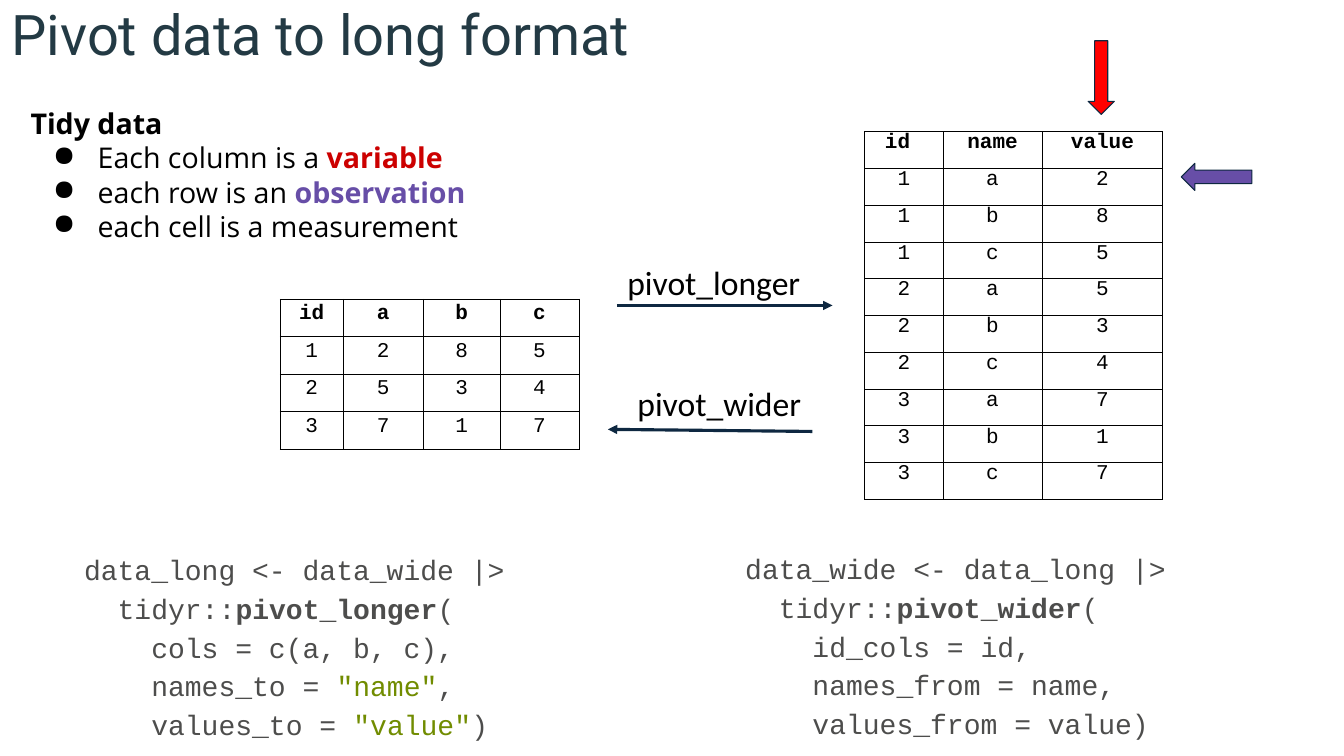
from lxml import etree
from pptx import Presentation
from pptx.dml.color import RGBColor
from pptx.enum.shapes import MSO_CONNECTOR, MSO_SHAPE
from pptx.enum.text import MSO_ANCHOR, PP_ALIGN
from pptx.oxml import parse_xml
from pptx.oxml.ns import nsdecls, qn
from pptx.util import Pt

STRAIGHT = MSO_CONNECTOR.STRAIGHT
ARROW = MSO_SHAPE.RIGHT_ARROW
TOP, MIDDLE = MSO_ANCHOR.TOP, MSO_ANCHOR.MIDDLE
CENTER, LEFT = PP_ALIGN.CENTER, PP_ALIGN.LEFT

BLACK = RGBColor(0x00, 0x00, 0x00)
NAVY = RGBColor(0x0E, 0x28, 0x41)
SLATE = RGBColor(0x23, 0x3A, 0x44)
GRAY = RGBColor(0x4D, 0x4D, 0x4C)
GREEN = RGBColor(0x71, 0x8C, 0x00)
CRIMSON = RGBColor(0xCC, 0x00, 0x00)
RED = RGBColor(0xFF, 0x00, 0x00)
PURPLE = RGBColor(0x67, 0x4E, 0xA7)
INSET = Pt(9.6)


def write(frame, paras, size, font, color=BLACK, align=LEFT, spacing=None, bullets=False):
    frame.word_wrap = True
    for i, runs in enumerate(paras):
        para = frame.paragraphs[0] if i == 0 else frame.add_paragraph()
        if bullets and i > 0:
            props = para._p.get_or_add_pPr()
            props.set("marL", str(Pt(48)))
            props.set("indent", str(Pt(-32)))
            etree.SubElement(props, qn("a:buChar")).set("char", "●")
        para.alignment = align
        if spacing:
            para.line_spacing = spacing
        for text, bold, tint in runs:
            for j, line in enumerate(text.split("\n")):
                if j > 0:
                    para.add_line_break()
                run = para.add_run()
                run.text = line
                run.font.size = Pt(size)
                run.font.name = font
                run.font.bold = bold
                run.font.color.rgb = tint or color


prs = Presentation()
prs.slide_width, prs.slide_height = Pt(960), Pt(540)
slide = prs.slides.add_slide(prs.slide_layouts[6])
shapes = slide.shapes

long_code = [[
    ("data_long <- data_wide |>\n  tidyr::", False, None),
    ("pivot_longer", True, None),
    ("(\n    cols = c(a, b, c),\n    names_to = ", False, None),
    ('"name"', False, GREEN),
    (",\n    values_to = ", False, None),
    ('"value"', False, GREEN),
    (")", False, None),
]]
wide_code = [[
    ("data_wide <- data_long |>\n  tidyr::", False, None),
    ("pivot_wider", True, None),
    ("(\n    id_cols = id,\n    names_from = name,\n    values_from = value)", False, None),
]]
tidy = [
    [("Tidy data", True, None)],
    [("Each column is a ", False, None), ("variable", True, CRIMSON)],
    [("each row is an ", False, None), ("observation", True, PURPLE)],
    [("each cell is a measurement", False, None)],
]
title = [[("Pivot data to long format", False, None)]]
longer = [[("pivot_longer", False, None)]]
wider = [[("pivot_wider", False, None)]]

code = dict(size=20, font="Courier New", color=GRAY, spacing=1.15)
label = dict(size=24, font="Calibri")
boxes = [
    (50.4, 381.6, 345, 158.4, long_code, code),
    (522.7, 380.9, 321, 158.4, wide_code, code),
    (12.2, 66.2, 345, 130.3, tidy, dict(size=20.4, font="Open Sans", bullets=True)),
    (438.5, 177.8, 154, 48.2, longer, label),
    (445.7, 264.2, 154, 48.2, wider, label),
    (-1.4, -10.1, 825, 67.7, title, dict(size=40, font="Roboto", color=SLATE)),
]
for x, y, w, h, paras, form in boxes:
    frame = shapes.add_textbox(Pt(x), Pt(y), Pt(w), Pt(h)).text_frame
    frame.margin_left = frame.margin_right = INSET
    frame.margin_top = frame.margin_bottom = INSET
    write(frame, paras, **form)

wide = [["id", "a", "b", "c"], ["1", "2", "8", "5"], ["2", "5", "3", "4"], ["3", "7", "1", "7"]]
long = [["id ", "name", "value"]]
for row in wide[1:]:
    for name, value in zip(wide[0][1:], row[1:]):
        long.append([row[0], name, value])

tables = [
    (wide, 200.2, 213.8, [44.9, 57.3, 54.9, 56.3], 26.8, MIDDLE),
    (long, 617.5, 94, [56.2, 70.6, 86.4], 26.3, TOP),
]
for data, x, y, widths, high, anchor in tables:
    grid = shapes.add_table(len(data), len(widths), Pt(x), Pt(y),
                            Pt(sum(widths)), Pt(high * len(data))).table
    grid.first_row = grid.horz_banding = False
    for col, width in zip(grid.columns, widths):
        col.width = Pt(width)
    for r, row in enumerate(data):
        grid.rows[r].height = Pt(high)
        for c, text in enumerate(row):
            cell = grid.cell(r, c)
            cell.margin_left = cell.margin_right = INSET
            cell.margin_top = cell.margin_bottom = INSET
            cell.vertical_anchor = anchor
            for side in ("lnL", "lnR", "lnT", "lnB"):
                cell._tc.get_or_add_tcPr().append(parse_xml(
                    f'<a:{side} {nsdecls("a")} w="{Pt(0.75)}"><a:solidFill>'
                    f'<a:srgbClr val="{BLACK}"/></a:solidFill></a:{side}>'))
            cell.fill.background()
            write(cell.text_frame, [[(text, r == 0, None)]], size=15,
                  font="Courier New", align=CENTER, spacing=0.2)

for x1, y1, x2, y2 in [(440.6, 218.2, 594.7, 218.2), (580.3, 308.2, 434.2, 306.7)]:
    link = shapes.add_connector(STRAIGHT, Pt(x1), Pt(y1), Pt(x2), Pt(y2))
    link.line.color.rgb = NAVY
    link.line.width = Pt(2.25)
    etree.SubElement(link.line._get_or_add_ln(), qn("a:tailEnd")).set("type", "triangle")
    etree.SubElement(link._element.spPr, qn("a:effectLst"))

for x, y, w, h, turn, color in [
    (760.3, 46.1, 52.6, 18.7, 90, RED),
    (843.8, 116.6, 50.4, 19.4, 180, PURPLE),
]:
    arrow = shapes.add_shape(ARROW, Pt(x), Pt(y), Pt(w), Pt(h))
    arrow.rotation = turn
    arrow.shadow.inherit = False
    arrow.fill.solid()
    arrow.fill.fore_color.rgb = color
    arrow.line.color.rgb = NAVY
    arrow.line.width = Pt(0.75)

prs.save("out.pptx")
